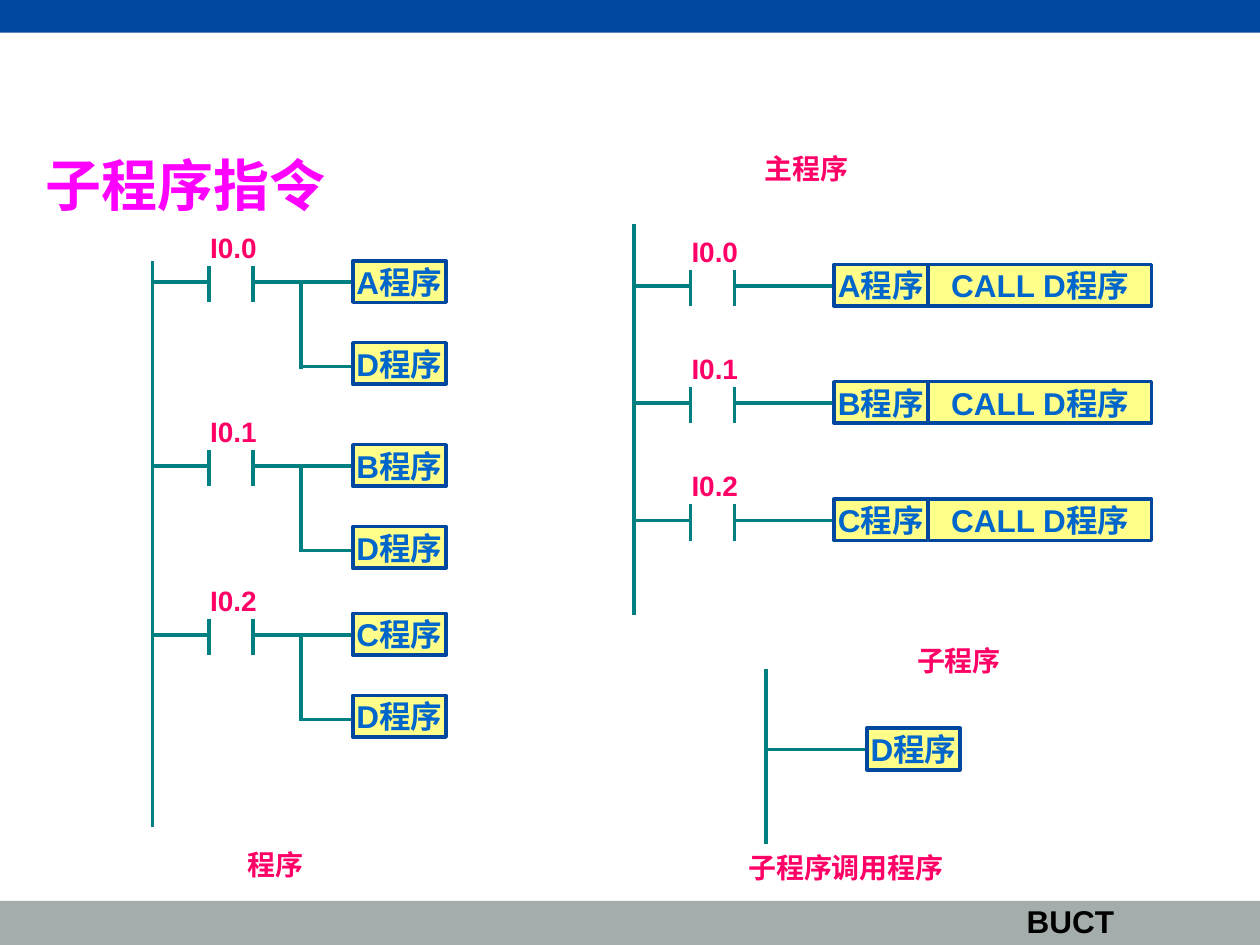
from dataclasses import dataclass

from lxml.etree import SubElement
from pptx import Presentation
from pptx.dml.color import RGBColor
from pptx.enum.shapes import MSO_CONNECTOR, MSO_SHAPE
from pptx.enum.text import MSO_ANCHOR, MSO_AUTO_SIZE, PP_ALIGN
from pptx.oxml.ns import qn
from pptx.util import Inches, Pt

# Grid of 100 columns by 75 rows; every length below is in cells.
COLUMNS, ROWS = 100, 75
CELL = Inches(0.1)


@dataclass(frozen=True)
class Theme:
    font: str = "Arial"
    band: str = "0047A0"
    footer: str = "A5ADAC"
    footer_text: str = "000000"
    wire: str = "008080"
    label: str = "FF0066"
    title: str = "FF00FF"
    block_fill: str = "FFFF00"
    block_text: str = "0066CC"
    block_opacity: int = 46
    title_size: int = 32
    block_size: int = 18
    label_size: int = 16
    line_width: int = 2


@dataclass(frozen=True)
class Box:
    left: float
    top: float
    width: float
    height: float

    def emu(self):
        return [round(n * CELL) for n in (self.left, self.top, self.width, self.height)]


THEME = Theme()
BLOCK_WIDTH, BLOCK_HEIGHT = 7.4, 3.3
BLOCK_RISE = 1.7        # block top above its wire
WIRE_END = 15.9         # rail to block
CONTACTS = (4.5, 8)     # rail to the two contact bars
BRANCH = 11.8           # rail to the branch
BRANCH_DROP = 6.7


def color(name):
    return RGBColor.from_string(name)


def write(shape, text, size, ink, align=PP_ALIGN.LEFT, wrap=False):
    frame = shape.text_frame
    frame.text = text
    frame.word_wrap = wrap
    frame.auto_size = MSO_AUTO_SIZE.NONE
    paragraph = frame.paragraphs[0]
    paragraph.alignment = align
    font = paragraph.font
    font.name, font.size, font.bold = THEME.font, Pt(size), True
    font.color.rgb = color(ink)
    return frame


def add_rectangle(slide, box, fill):
    shape = slide.shapes.add_shape(MSO_SHAPE.RECTANGLE, *box.emu())
    shape.shadow.inherit = False
    shape.fill.solid()
    shape.fill.fore_color.rgb = color(fill)
    shape.line.fill.background()
    return shape


def add_wire(slide, x1, y1, x2, y2):
    ends = [round(n * CELL) for n in (x1, y1, x2, y2)]
    wire = slide.shapes.add_connector(MSO_CONNECTOR.STRAIGHT, *ends)
    wire.line.color.rgb = color(THEME.wire)
    wire.line.width = Pt(THEME.line_width)
    SubElement(wire._element.spPr, qn("a:effectLst"))


def add_label(slide, text, box, size=THEME.label_size, ink=THEME.label):
    write(slide.shapes.add_textbox(*box.emu()), text, size, ink)


def add_block(slide, text, left, top, width=BLOCK_WIDTH):
    block = add_rectangle(slide, Box(left, top, width, BLOCK_HEIGHT), THEME.block_fill)
    fill_color = block.fill._xPr.find(qn("a:solidFill"))[0]
    SubElement(fill_color, qn("a:alpha"), val=str(THEME.block_opacity * 1000))
    block.line.color.rgb = color(THEME.band)
    block.line.width = Pt(THEME.line_width)
    frame = write(block, text, THEME.block_size, THEME.block_text, PP_ALIGN.CENTER)
    frame.vertical_anchor = MSO_ANCHOR.MIDDLE


def add_rail(slide, box):
    add_wire(slide, box.left, box.top, box.left, box.top + box.height)


def add_rung(slide, left, y, contact, program):
    """Wire a contact from the rail at left to a program block."""
    opening, closing = (left + offset for offset in CONTACTS)
    for bar in (opening, closing):
        add_wire(slide, bar, y - 1.3, bar, y + 1.6)
    add_label(slide, contact, Box(left + 3.6, y - 4.6, 5.7, 3.7))
    add_wire(slide, left, y, opening, y)
    add_wire(slide, closing, y, left + WIRE_END, y)
    add_block(slide, program, left + WIRE_END, y - BLOCK_RISE)


def add_branch(slide, left, y, program):
    start, end = left + BRANCH, left + WIRE_END
    add_wire(slide, start, y, start, y + BRANCH_DROP + 0.15)
    add_wire(slide, start, y + BRANCH_DROP, end, y + BRANCH_DROP)
    add_block(slide, program, end, y + 4.8)


def add_plain_ladder(slide, box, rungs):
    """Repeat the D block on a branch of every rung."""
    add_rail(slide, box)
    for offset, (contact, program) in zip((1.7, 16.3, 29.7), rungs):
        add_rung(slide, box.left, box.top + offset, contact, program)
        add_branch(slide, box.left, box.top + offset, "D程序")
    add_label(slide, "程序", Box(box.left + 6.6, box.top + box.height + 1.2, 6.4, 3.7))


def add_calling_ladder(slide, box, rungs):
    """Call D after the program block of every rung."""
    add_label(slide, "主程序", Box(box.left + 9.4, box.top - 6.3, 8.6, 3.7))
    add_rail(slide, box)
    call_left = box.left + WIRE_END + BLOCK_WIDTH + 0.1
    for index, (contact, program) in enumerate(rungs):
        y = box.top + 4.9 + 9.3 * index
        add_rung(slide, box.left, y, contact, program)
        add_block(slide, "CALL D程序", call_left, y - BLOCK_RISE,
                  box.left + box.width - call_left)


def add_subroutine(slide, box):
    y, block_left = box.top + 6.4, box.left + box.width - BLOCK_WIDTH
    add_label(slide, "子程序", Box(box.left + 11, box.top - 2.5, 8.6, 3.7))
    add_rail(slide, box)
    add_wire(slide, box.left, y, block_left, y)
    add_block(slide, "D程序", block_left, y - BLOCK_RISE)
    add_label(slide, "子程序调用程序",
              Box(box.left - 2.4, box.top + box.height, 17.5, 3.7))


def add_bands(slide, box):
    add_rectangle(slide, Box(box.left, box.top, box.width, 2.6), THEME.band)
    footer_top = box.top + box.height - 3.5
    add_rectangle(slide, Box(box.left, footer_top, box.width, 3.5), THEME.footer)
    add_label(slide, "BUCT", Box(box.left + 80.5, footer_top - 0.4, 8.9, 4),
              THEME.block_size, THEME.footer_text)


def place_title(slide, box):
    title = slide.shapes.title
    title.left, title.top, title.width, title.height = box.emu()
    frame = write(title, "子程序指令", THEME.title_size, THEME.title, wrap=True)
    frame.vertical_anchor = MSO_ANCHOR.TOP
    frame.paragraphs[0].line_spacing = 0.8


def main():
    presentation = Presentation()
    presentation.slide_width = COLUMNS * CELL
    presentation.slide_height = ROWS * CELL
    slide = presentation.slides.add_slide(presentation.slide_layouts[5])
    rungs = [("I0.0", "A程序"), ("I0.1", "B程序"), ("I0.2", "C程序")]
    add_bands(slide, Box(0, 0, COLUMNS, ROWS))
    place_title(slide, Box(2.6, 12.5, 42.5, 5.3))
    add_plain_ladder(slide, Box(12.1, 20.7, 23.3, 44.9), rungs)
    add_calling_ladder(slide, Box(50.3, 17.8, 41.1, 31), rungs)
    add_subroutine(slide, Box(60.8, 53.1, 15.4, 13.9))
    presentation.save("out.pptx")


if __name__ == "__main__":
    main()
